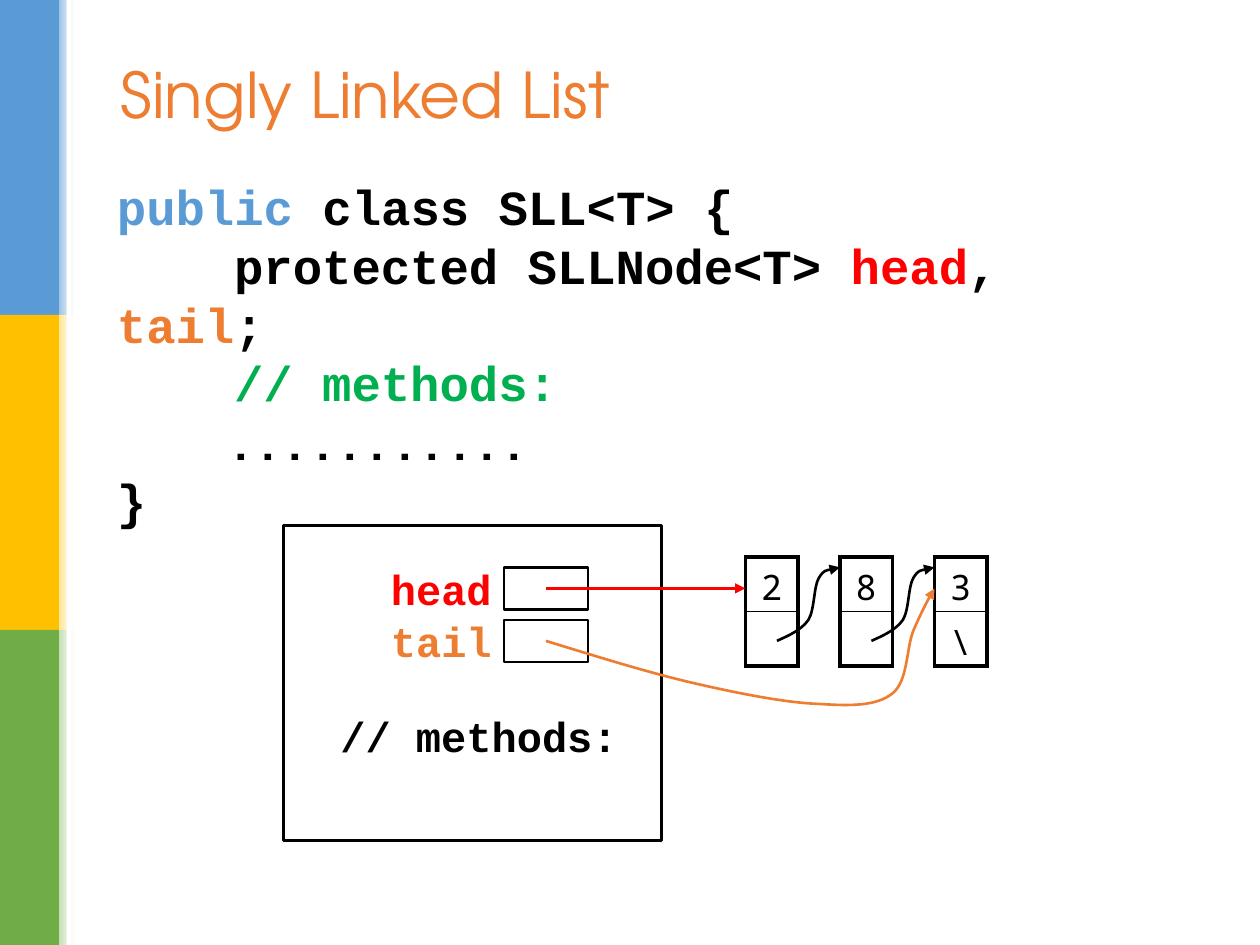
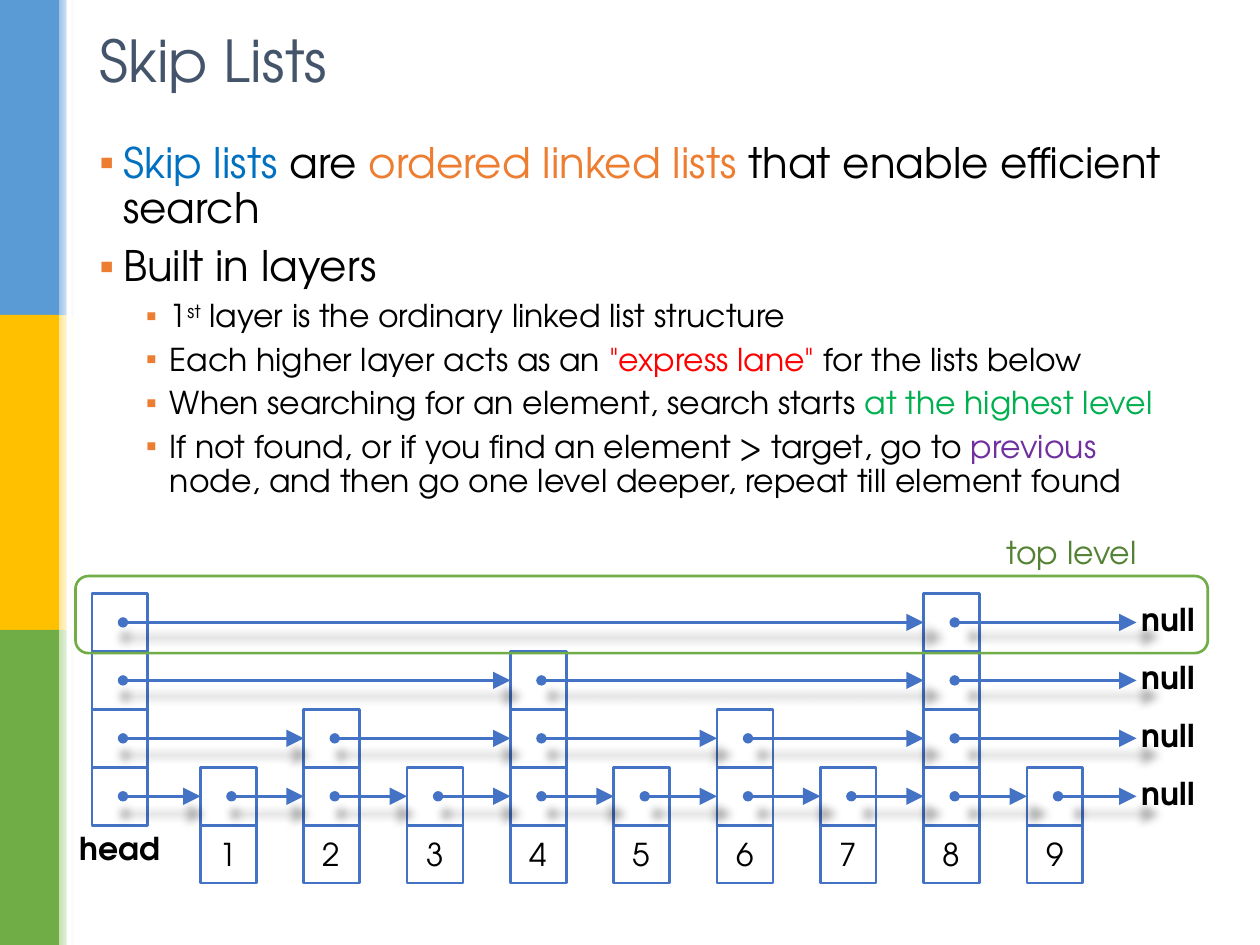
import dataclasses
import itertools

import lxml.etree
import pptx
import pptx.dml.color
import pptx.enum.shapes
import pptx.enum.text
import pptx.oxml
import pptx.oxml.ns
import pptx.util

SANS, CODE, MONO = "TeX Gyre Adventor", "Courier New", "Noto Sans Mono"
BLACK, WHITE, RED, ORANGE, GREEN = "000000", "FFFFFF", "FF0000", "ED7D31", "00B050"
BLUE, NODE_BLUE, FRAME_GREEN = "5B9BD5", "4472C4", "70AD47"
BANDS = [(BLUE, "9DC3E6"), ("FFC000", "FFE699"), (FRAME_GREEN, "C5E0B4")]
SHAPES = pptx.enum.shapes.MSO_SHAPE
ALIGN = pptx.enum.text.PP_ALIGN
ANCHOR = pptx.enum.text.MSO_ANCHOR
POINT = pptx.util.Pt

LINK_CURVE = [
    [(1.1, -0.5), (2.3, -1), (3, -2)],
    [(3.6, -3), (3.5, -5.2), (4, -6)],
    [(4.5, -6.8), (5.2, -6.8), (6, -7)],
]
TAIL_CURVE = [
    [(4.9, 1.5), (9.7, 3), (14, 4)],
    [(18.3, 5), (22.9, 5.9), (26, 6)],
    [(29.1, 6.2), (31.5, 6.2), (33, 5)],
    [(34.5, 3.8), (34.3, 0.7), (35, -1)],
    [(35.7, -2.6), (36.3, -3.8), (37, -5)],
]


@dataclasses.dataclass(frozen=True)
class Grid:
    """A region whose parts are placed in columns and rows, sized in inches."""

    left: float
    top: float
    column: float
    row: float

    def point(self, column, row):
        """Return the position of a grid point."""
        return (pptx.util.Inches(self.left + column * self.column),
                pptx.util.Inches(self.top + row * self.row))

    def place(self, column, row, columns, rows):
        """Return left, top, width and height of a block of cells."""
        return (*self.point(column, row), pptx.util.Inches(columns * self.column),
                pptx.util.Inches(rows * self.row))


PERCENT = Grid(0, 0, 0.1, 0.075)


def rgb(value):
    """Turn a hex string into a colour."""
    return pptx.dml.color.RGBColor.from_string(value)


def set_all(target, values):
    """Set each attribute in a dict of format values."""
    for name, value in values.items():
        setattr(target, name, value)


def add_xml(parent, tag, **attributes):
    """Append a drawing element and return it."""
    return lxml.etree.SubElement(parent, pptx.oxml.ns.qn(f"a:{tag}"), attributes)


def style_line(line, color, width=1.5):
    """Give a line its colour and width."""
    line.color.rgb = rgb(color)
    line.width = POINT(width)


def add_arrowhead(line, end, kind, size="med"):
    """Put an arrowhead on one end of a line."""
    add_xml(line._get_or_add_ln(), end, type=kind, w=size, len=size)


def write(para, runs, base, **layout):
    """Fill a paragraph with runs of text, colour and optional baseline."""
    set_all(para, layout)
    for text, color, *raised in runs:
        span = para.add_run()
        span.text = text
        set_all(span.font, base)
        span.font.color.rgb = rgb(color)
        for baseline in raised:
            span._r.get_or_add_rPr().set("baseline", baseline)


def font(name, size, bold=False):
    """Return the format values of a font."""
    return {"name": name, "size": POINT(size), "bold": bold}


def add_text(page, place, runs, base, anchor=ANCHOR.TOP, **layout):
    """Add a wrapped text box with one paragraph and return its frame."""
    frame = page.shapes.add_textbox(*place).text_frame
    set_all(frame, {"word_wrap": True, "vertical_anchor": anchor})
    if runs:
        write(frame.paragraphs[0], runs, base, **layout)
    return frame


def add_block(page, place, fill=None, line=None, kind=SHAPES.RECTANGLE):
    """Add a plain shape with an optional fill and outline."""
    block = page.shapes.add_shape(kind, *place)
    block.shadow.inherit = False
    if fill:
        block.fill.solid()
        block.fill.fore_color.rgb = rgb(fill)
    else:
        block.fill.background()
    if line:
        style_line(block.line, line)
    else:
        block.line.fill.background()
    return block


def add_arrow(page, start, end, color, linked=False):
    """Add a straight arrow; a linked one has a dot, a large head and a soft shadow."""
    arrow = page.shapes.add_connector(pptx.enum.shapes.MSO_CONNECTOR.STRAIGHT, *start, *end)
    style_line(arrow.line, color)
    if linked:
        add_arrowhead(arrow.line, "headEnd", "oval")
    add_arrowhead(arrow.line, "tailEnd", "triangle", "lg" if linked else "med")
    effects = add_xml(arrow._element.spPr, "effectLst")
    if linked:
        outer = add_xml(effects, "outerShdw", blurRad="63500", dist="12700", dir="5400000",
                        sx="102000", sy="102000", algn="ctr", rotWithShape="0")
        add_xml(add_xml(outer, "srgbClr", val=BLACK), "alpha", val="32000")


def add_curve(page, grid, column, row, segments, color):
    """Add an arrow of cubic curves that starts at a grid point."""
    points = [grid.point(column + x, row + y) for x, y in itertools.chain(*segments)]
    builder = page.shapes.build_freeform(*grid.point(column, row))
    builder.add_line_segments(points, close=False)
    curve = builder.convert_to_shape()
    corners = list(curve._element.iter(pptx.oxml.ns.qn("a:lnTo")))
    outline = corners[0].getparent()
    for first in range(0, len(corners), 3):
        bend = add_xml(outline, "cubicBezTo")
        for corner in corners[first:first + 3]:
            bend.append(corner[0])
            outline.remove(corner)
    curve.shadow.inherit = False
    curve.fill.background()
    style_line(curve.line, color)
    add_arrowhead(curve.line, "tailEnd", "triangle")


def share_bands(page):
    """Draw the side bands and move them to the layout that the pages share."""
    layout = page.slide_layout
    for holder in list(layout.placeholders):
        layout.shapes._spTree.remove(holder._element)
    grid = Grid(0, 0, 0.1, 2.5)
    for row, (solid, pale) in enumerate(BANDS):
        add_block(page, grid.place(0, row, 4.7, 1), solid)
        fade = add_block(page, grid.place(4.7, row, 1.2, 1), pale)
        fade.fill.gradient()
        fade.fill.gradient_angle = 0
        for stop, stop_color in zip(fade.fill.gradient_stops, (pale, WHITE)):
            stop.color.rgb = rgb(stop_color)
    add_block(page, grid.place(5.3, 0, 0.4, 3), WHITE)
    for band in list(page.shapes):
        layout.shapes._spTree.append(band._element)


def add_title(page, place, title, size, color, anchor):
    """Add the title of a page."""
    add_text(page, PERCENT.place(*place), [(title, color)], font(SANS, size), anchor)


def add_code(page, place):
    """Add the class listing."""
    lines = [
        (0, CODE, [("public", BLUE), (" class SLL<T> {", BLACK)]),
        (1, CODE, [("protected SLLNode<T> ", BLACK), ("head", RED), (", ", BLACK),
                   ("tail", ORANGE), (";", BLACK)]),
        (1, CODE, [("// methods:", GREEN)]),
        (1, SANS, [(". . . . . . . . . . .", BLACK)]),
        (0, CODE, [("}", BLACK)]),
    ]
    frame = add_text(page, place, [], {}, ANCHOR.MIDDLE)
    for number, (depth, name, runs) in enumerate(lines):
        para = frame.add_paragraph() if number else frame.paragraphs[0]
        write(para, runs, font(name, 28, True))
        para._p.get_or_add_pPr().set("indent", str(pptx.util.Inches(0.93 * depth)))


def add_list_node(page, place, texts):
    """Add a node as a table with a value cell above a link cell."""
    table = page.shapes.add_table(2, 1, *place).table
    set_all(table, {"first_row": False, "horz_banding": False})
    for row, text in enumerate(texts):
        cell = table.cell(row, 0)
        set_all(cell, {"margin_top": pptx.util.Inches(0.05), "margin_bottom": 0})
        widths = {"lnL": 2.25, "lnR": 2.25, "lnT": 1 if row else 2.25, "lnB": 2.25 if row else 1}
        for side, width in widths.items():
            border = add_xml(cell._tc.get_or_add_tcPr(), side, w=str(POINT(width)))
            add_xml(add_xml(border, "solidFill"), "srgbClr", val=BLACK)
        cell.fill.background()
        if text:
            write(cell.text_frame.paragraphs[0], [(text, BLACK)], font(MONO, 20),
                  alignment=ALIGN.CENTER)


def add_linked_list(page, grid):
    """Draw the list object, its two fields and the chain of nodes."""
    add_block(page, grid.place(0, 0, 36, 30), line=BLACK)
    for row in (4, 9):
        add_block(page, grid.place(21, row, 8, 4), line=BLACK)
    labels = [("head", RED, (7, 3, 14, 6)), ("tail", ORANGE, (7, 8, 14, 6)),
              ("// methods:", BLACK, (4, 17, 29, 6))]
    for text, color, place in labels:
        add_text(page, grid.place(*place), [(text, color)], font(CODE, 24, True), ANCHOR.MIDDLE,
                 alignment=ALIGN.RIGHT, space_before=POINT(12))
    nodes = [("2", ""), ("8", ""), ("3", "\\")]
    for index, texts in enumerate(nodes):
        add_list_node(page, grid.place(44 + 9 * index, 3, 5, 10.4), texts)
    for index in range(len(nodes) - 1):
        add_curve(page, grid, 47 + 9 * index, 11, LINK_CURVE, BLACK)
    add_arrow(page, grid.point(25, 6), grid.point(44, 6), RED)
    add_curve(page, grid, 25, 11, TAIL_CURVE, ORANGE)


def add_bullets(page, place):
    """Add the two-level list of points."""
    points = [
        (0, [("Skip lists ", "0070C0"), ("are ", BLACK), ("ordered linked lists ", ORANGE),
             ("that enable efficient search", BLACK)]),
        (0, [("Built in layers", BLACK)]),
        (1, [("1", BLACK), ("st", BLACK, "30000"),
             (" layer is the ordinary linked list structure", BLACK)]),
        (1, [("Each higher layer acts as an ", BLACK), ('"express lane" ', RED),
             ("for the lists below", BLACK)]),
        (1, [("When searching for an element, search starts ", BLACK),
             ("at the highest level", GREEN)]),
        (1, [("If not found, or if you find an element > target, go to ", BLACK),
             ("previous ", "7030A0"),
             ("node, and then go one level deeper, repeat till element found", BLACK)]),
    ]
    frame = add_text(page, place, [], {})
    for number, (level, runs) in enumerate(points):
        para = frame.add_paragraph() if number else frame.paragraphs[0]
        size = (24, 18)[level]
        write(para, runs, font(SANS, size), level=level, line_spacing=0.9,
              space_before=POINT(size * 0.3))
        properties = para._p.get_or_add_pPr()
        properties.set("marL", str(pptx.util.Inches((0.19, 0.56)[level])))
        properties.set("indent", str(pptx.util.Inches(-0.19)))
        add_xml(add_xml(properties, "buClr"), "srgbClr", val=ORANGE)
        add_xml(properties, "buFont", typeface="Arial")
        add_xml(properties, "buChar", char="▪")


def add_skip_list(page, grid, last=9, layers=4):
    """Draw the layers of a skip list, each skipping twice as far as the one below."""
    bold = font(SANS, 18, True)
    columns = [0] + [key + 0.05 for key in range(1, last + 1)]
    node_width, null_column = 0.54, 10.11
    for key in range(1, last + 1):
        block = add_block(page, grid.place(columns[key], layers, node_width, 1), WHITE, NODE_BLUE)
        block.text_frame.vertical_anchor = ANCHOR.MIDDLE
        write(block.text_frame.paragraphs[0], [(str(key), BLACK)], font(SANS, 18),
              alignment=ALIGN.CENTER)
    for layer in range(layers):
        row = layers - 1 - layer
        stops = columns[::2 ** layer]
        for column in stops:
            add_block(page, grid.place(column, row, node_width, 1), WHITE, NODE_BLUE)
        for column, target in zip(stops, stops[1:] + [null_column]):
            add_arrow(page, grid.point(column + 0.3, row + 0.5), grid.point(target, row + 0.5),
                      NODE_BLUE, linked=True)
        add_text(page, grid.place(10.04, row, 0.85, 0.87), [("null", BLACK)], bold)
    add_text(page, grid.place(-0.24, 3.96, 1.06, 0.87), [("head", BLACK)], bold)
    add_block(page, grid.place(-0.16, -0.3, 10.96, 1.33), line=FRAME_GREEN,
              kind=SHAPES.ROUNDED_RECTANGLE)
    add_text(page, grid.place(8.73, -1.15, 1.58, 0.87), [("top level", "548235")], font(SANS, 18))


def main():
    """Build and save the deck."""
    deck = pptx.Presentation()
    set_all(deck, {"slide_width": pptx.util.Inches(10), "slide_height": pptx.util.Inches(7.5)})
    linked, skip = [deck.slides.add_slide(deck.slide_layouts[6]) for _ in range(2)]
    share_bands(linked)
    add_title(linked, (8.6, 5.2, 79.2, 9.5), "Singly Linked List", 36, ORANGE, ANCHOR.TOP)
    add_code(linked, PERCENT.place(8.3, 21.07, 85.8, 32.53))
    add_linked_list(linked, Grid(2.25, 4.17, 1 / 12, 1 / 12))
    add_title(skip, (6.9, 1.73, 86.2, 9.07), "Skip Lists", 33, "44546A", ANCHOR.MIDDLE)
    add_bullets(skip, PERCENT.place(6.9, 14.4, 88, 71.07))
    add_skip_list(skip, Grid(0.73, 4.71, 0.82, 0.46))
    deck.save("out.pptx")


if __name__ == "__main__":
    main()
